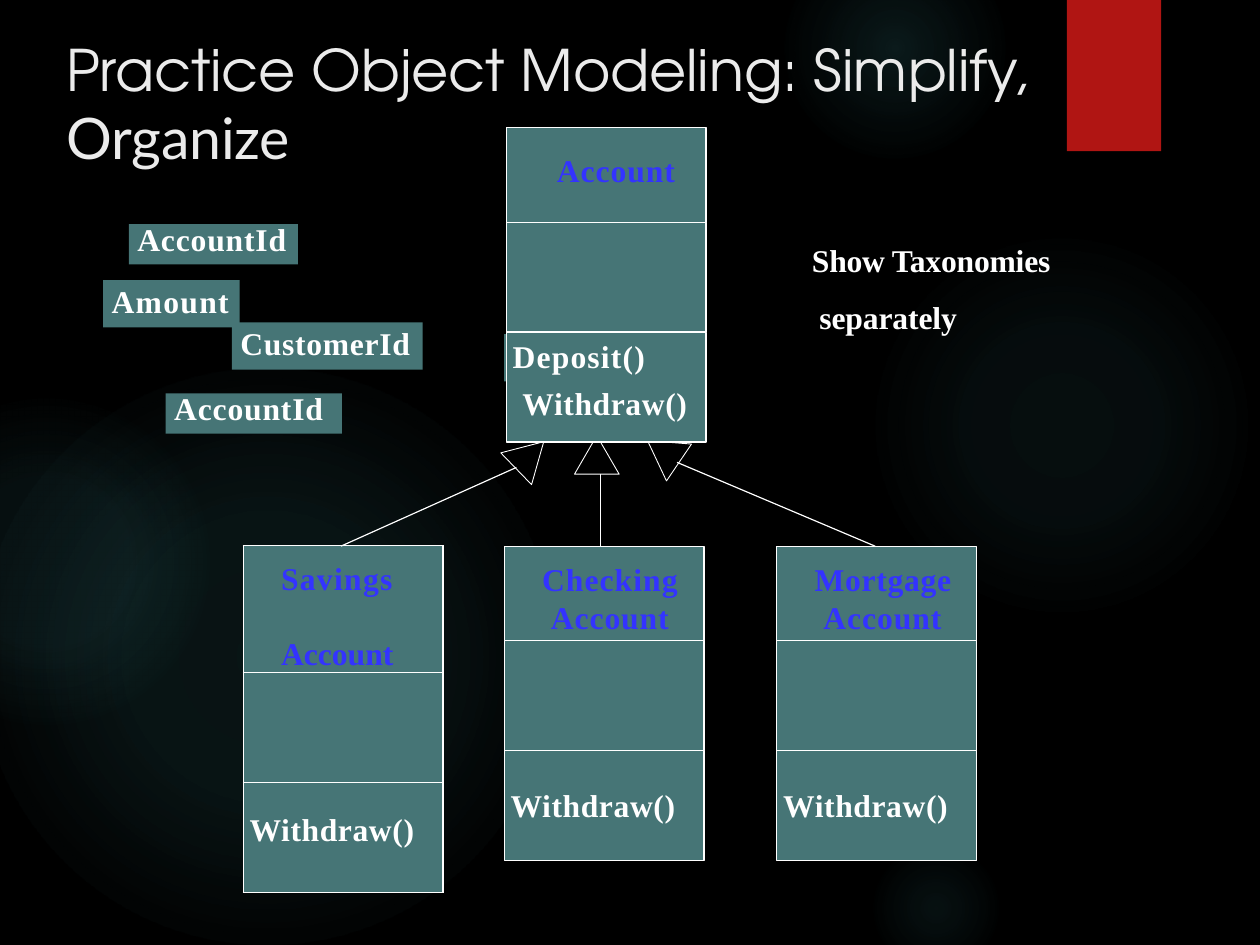
"""Build the slide on simplifying an account object model with a class taxonomy."""
import typing

import pptx
import pptx.dml.color
import pptx.enum.shapes
import pptx.enum.text
import pptx.oxml
import pptx.oxml.ns
import pptx.util

Cm = pptx.util.Cm
Pt = pptx.util.Pt
RGBColor = pptx.dml.color.RGBColor
RECTANGLE = pptx.enum.shapes.MSO_SHAPE.RECTANGLE

BLACK = RGBColor(0x00, 0x00, 0x00)
WHITE = RGBColor(0xFF, 0xFF, 0xFF)
TITLE_GREY = RGBColor(0xEB, 0xEB, 0xEB)
TEAL = RGBColor(0x46, 0x75, 0x76)
GLOW = RGBColor(0x50, 0xB9, 0xC1)
RED = RGBColor(0xB0, 0x15, 0x13)
NAME_BLUE = RGBColor(0x33, 0x33, 0xFF)

BODY_FONT = "Times New Roman"
CLASS_WIDTH = 5.91
HEADER_HEIGHT = 2.79
PART_HEIGHT = 3.25
SUBCLASS_TOP = 16.15
NAME_PITCH = Pt(31.7)
TAG_PITCH = Pt(27.9)


class Line(typing.NamedTuple):
    """A line of text with its indent in cm and its spacing in points."""
    text: str
    indent: float = 0
    tracking: float = 0
    before: float = 0
    pitch: typing.Any = None


def set_margins(holder, top):
    """Clear the margins of a text frame or cell, except the top one."""
    holder.margin_left = holder.margin_right = holder.margin_bottom = 0
    holder.margin_top = Cm(top)


def write_lines(frame, lines, color, size=26.5, font=BODY_FONT, bold=True):
    """Write one paragraph for each line."""
    frame.word_wrap = True
    for number, line in enumerate(lines):
        paragraph = frame.add_paragraph() if number else frame.paragraphs[0]
        paragraph.text = line.text
        paragraph.alignment = pptx.enum.text.PP_ALIGN.LEFT
        paragraph.space_before = Pt(line.before)
        if line.pitch:
            paragraph.line_spacing = line.pitch
        paragraph._p.get_or_add_pPr().set("marL", str(int(Cm(line.indent))))
        for run in paragraph.runs:
            run.font.name = font
            run.font.size = Pt(size)
            run.font.bold = bold
            run.font.color.rgb = color
            run._r.get_or_add_rPr().set("spc", str(round(line.tracking * 100)))


def add_label(slide, left, top, width, height, lines, color=WHITE, **style):
    """Add free text."""
    frame = slide.shapes.add_textbox(Cm(left), Cm(top), Cm(width), Cm(height)).text_frame
    set_margins(frame, 0.03)
    write_lines(frame, lines, color, **style)


def add_box(slide, left, top, width, height, fill=TEAL, outlined=True,
            lines=(), inset=0.0, color=WHITE):
    """Add a rectangle, with text if there is any."""
    box = slide.shapes.add_shape(RECTANGLE, Cm(left), Cm(top), Cm(width), Cm(height))
    box.shadow.inherit = False
    box.fill.solid()
    box.fill.fore_color.rgb = fill
    if outlined:
        box.line.color.rgb = WHITE
        box.line.width = Pt(1)
    else:
        box.line.fill.background()
    if lines:
        set_margins(box.text_frame, inset)
        box.text_frame.vertical_anchor = pptx.enum.text.MSO_ANCHOR.TOP
        write_lines(box.text_frame, lines, color)


def add_glow(slide, left, top, diameter, center, middle, edge):
    """Add a circle that fades out from its center."""
    oval = pptx.enum.shapes.MSO_SHAPE.OVAL
    glow = slide.shapes.add_shape(oval, Cm(left), Cm(top), Cm(diameter), Cm(diameter))
    glow.shadow.inherit = False
    glow.line.fill.background()
    glow.fill.background()
    stops = "".join(
        f'<a:gs pos="{position * 1000}"><a:srgbClr val="{GLOW}">'
        f'<a:alpha val="{alpha * 1000}"/></a:srgbClr></a:gs>'
        for position, alpha in ((0, center), (36, middle), (edge, 0)))
    gradient = pptx.oxml.parse_xml(
        f'<a:gradFill {pptx.oxml.ns.nsdecls("a")}><a:gsLst>{stops}</a:gsLst>'
        '<a:path path="circle"><a:fillToRect l="50000" t="50000" r="50000" b="50000"/>'
        '</a:path></a:gradFill>')
    properties = glow._element.spPr
    properties.replace(properties.find(pptx.oxml.ns.qn("a:noFill")), gradient)


def add_inheritance(slide, corners, start, end):
    """Add a hollow triangle and the line that leads to it."""
    points = [(Cm(x), Cm(y)) for x, y in corners]
    builder = slide.shapes.build_freeform(*points[0])
    builder.add_line_segments(points[1:], close=True)
    triangle = builder.convert_to_shape()
    triangle.shadow.inherit = False
    triangle.fill.solid()
    triangle.fill.fore_color.rgb = BLACK
    triangle.line.color.rgb = WHITE
    triangle.line.width = Pt(0.75)
    stem = slide.shapes.add_connector(
        pptx.enum.shapes.MSO_CONNECTOR.STRAIGHT, *(Cm(value) for value in start + end))
    stem.line.color.rgb = WHITE
    stem.line.width = Pt(1)
    stem._element.spPr.append(
        pptx.oxml.parse_xml(f'<a:effectLst {pptx.oxml.ns.nsdecls("a")}/>'))


def add_class(slide, left, top, name, name_inset, operations, operations_inset):
    """Add a class box with name, empty attributes and operations."""
    attributes_top = top + HEADER_HEIGHT
    add_box(slide, left, attributes_top, CLASS_WIDTH, PART_HEIGHT)
    add_box(slide, left, top, CLASS_WIDTH, HEADER_HEIGHT,
            lines=name, inset=name_inset, color=NAME_BLUE)
    add_box(slide, left, attributes_top + PART_HEIGHT, CLASS_WIDTH, PART_HEIGHT,
            lines=operations, inset=operations_inset)


def add_class_table(slide, left, top, heights, name, operations):
    """Add a class as a table of three rows."""
    table = slide.shapes.add_table(
        3, 1, Cm(left), Cm(top), Cm(CLASS_WIDTH), Cm(sum(heights))).table
    table.first_row = table.horz_banding = False
    contents = ((name, 0.41, NAME_BLUE), ((), 0, WHITE), (operations, 0.89, WHITE))
    for row, height, (lines, inset, color) in zip(table.rows, heights, contents):
        row.height = Cm(height)
        cell = row.cells[0]
        cell.fill.solid()
        cell.fill.fore_color.rgb = TEAL
        set_margins(cell, inset)
        write_lines(cell.text_frame, lines, color)
        for position, side in enumerate("LRTB"):
            cell._tc.get_or_add_tcPr().insert(position, pptx.oxml.parse_xml(
                f'<a:ln{side} {pptx.oxml.ns.nsdecls("a")} w="{int(Pt(1))}"><a:solidFill>'
                f'<a:srgbClr val="{WHITE}"/></a:solidFill></a:ln{side}>'))


def main():
    """Build and save the slide."""
    deck = pptx.Presentation()
    deck.slide_width, deck.slide_height = Cm(37.26), Cm(27.94)
    slide = deck.slides.add_slide(deck.slide_layouts[6])
    slide.background.fill.solid()
    slide.background.fill.fore_color.rgb = BLACK

    for glow in ((25.65, 6.83, 11.48, 7, 6, 69), (23.19, -1.85, 6.53, 14, 7, 73),
                 (25.65, 24.84, 4.04, 9, 5, 66), (-0.64, 10.87, 17.07, 11, 10, 75),
                 (-3.43, 11.79, 9.63, 8, 8, 72)):
        add_glow(slide, *glow)
    add_box(slide, 31.55, 0, 2.79, 4.47, fill=RED, outlined=False)

    for text, top, width, font in (
            ("Practice Object Modeling: Simplify,", 0.97, 28.85, "TeX Gyre Adventor"),
            ("Organize", 3, 7.54, "Lato")):
        add_label(slide, 1.93, top, width, 2.11, [Line(text, 0.03, -0.1)],
                  color=TITLE_GREY, size=48, font=font, bold=False)

    withdraw = Line("Withdraw()", 0.19, 0.5)
    add_class_table(slide, 7.19, 16.13, (3.75, PART_HEIGHT, PART_HEIGHT),
                    [Line("Savings", 1.12, 1.1, 0, NAME_PITCH),
                     Line("Account", 1.12, 0, 31.7, NAME_PITCH)], [withdraw])
    for left, kind, tracking in ((14.91, "Checking", 0.9), (22.97, "Mortgage", 0.6)):
        add_class(slide, left, SUBCLASS_TOP,
                  [Line(kind, 1.12, tracking, 0, NAME_PITCH),
                   Line("Account", 1.38, 0.8, 0, NAME_PITCH)], 0.41, [withdraw], 1.06)

    add_inheritance(slide, ((16.08, 13.06), (14.81, 13.39), (15.72, 14.33)),
                    (10.08, SUBCLASS_TOP), (15.27, 13.82))
    add_inheritance(slide, ((17.65, 12.88), (16.99, 14.02), (18.31, 14.02)),
                    (17.75, SUBCLASS_TOP), (17.75, 14.02))
    add_inheritance(slide, ((19.15, 13.03), (19.71, 14.22), (20.45, 13.13)),
                    (25.88, SUBCLASS_TOP), (20.02, 13.67))

    add_box(slide, 14.91, 9.88, 4.52, 1.4, outlined=False)
    add_class(slide, 14.97, 3.78, [Line("Account", 1.5, 0.8)], 0.69,
              [Line("Deposit()", 0.19, 1), Line("Withdraw()", 0.48, 0.5, 7.5)], 0.13)

    for left, top, width, height, text, tracking, inset, pitch in (
            (3.81, 6.63, 5, 1.19, "AccountId", 0.7, 0, TAG_PITCH),
            (3.05, 8.28, 4.04, 1.4, "Amount", 1.1, 0.06, None),
            (6.86, 9.53, 5.64, 1.4, "CustomerId", 0.6, 0.06, None),
            (4.9, 11.63, 5.21, 1.19, "AccountId", 0.7, 0, TAG_PITCH)):
        add_box(slide, left, top, width, height, outlined=False,
                lines=[Line(text, 0.25, tracking, 0, pitch)], inset=inset)

    add_label(slide, 23.98, 6.55, 7.4, 3.43,
              [Line("Show Taxonomies", 0.03, -0.2, 0, 1.49),
               Line("separately", 0.25, -0.1, 0, 1.49)])
    deck.save("out.pptx")


if __name__ == "__main__":
    main()
